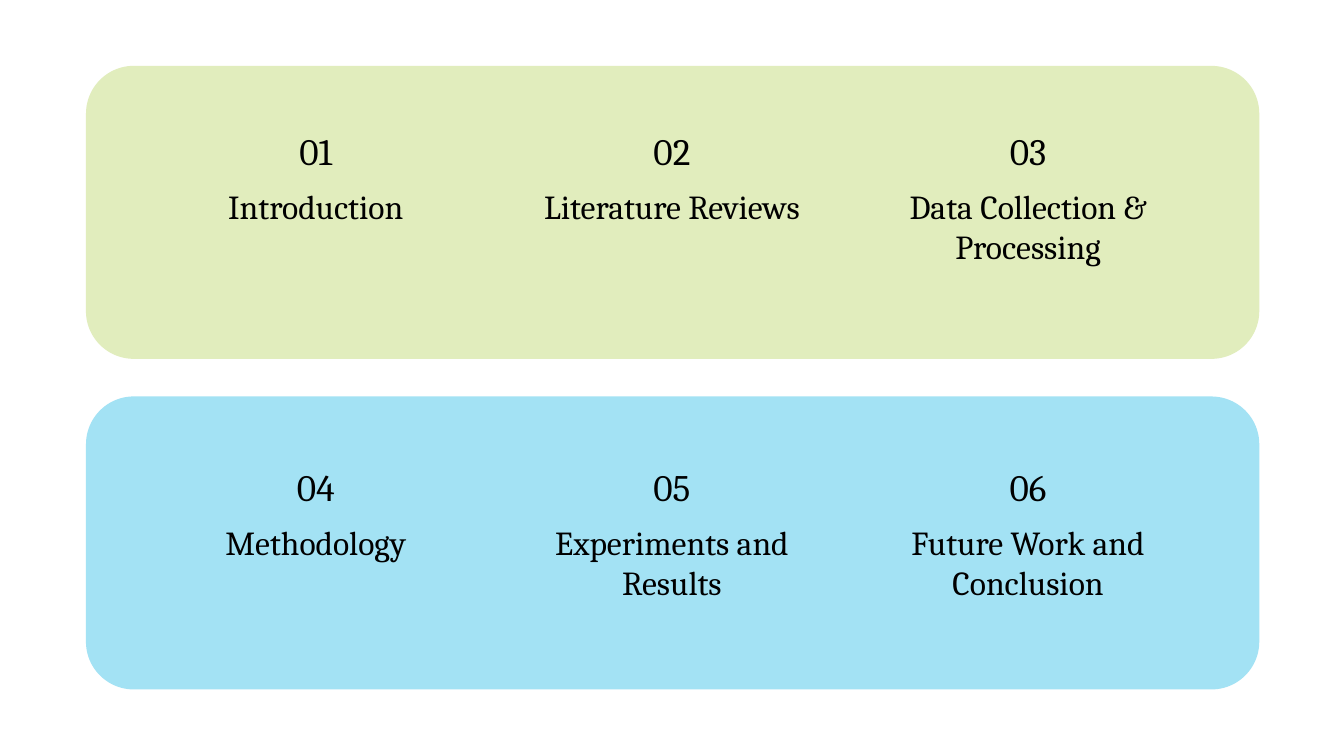
from pptx import Presentation
from pptx.dml.color import RGBColor
from pptx.enum.shapes import MSO_SHAPE as Shape
from pptx.enum.text import MSO_ANCHOR as Anchor, PP_ALIGN as Align
from pptx.util import Inches, Pt

WIDTH = 10
HEIGHT = WIDTH * 9 / 16
BAND_LEFT, BAND_WIDTH, BAND_HEIGHT = 0.64, 8.73, 2.18
COLUMN_LEFT, COLUMN_STEP, COLUMN_WIDTH = 1.07, 2.65, 2.56
NUMBER_HEIGHT, HEADING_HEIGHT, HEADING_DROP = 0.56, 0.69, 0.45

BANDS = [
    (0.49, 0.83, "E1EDBD",
     ["Introduction", "Literature Reviews", "Data Collection & Processing"]),
    (2.95, 3.33, "A3E2F4",
     ["Methodology", "Experiments and Results", "Future Work and Conclusion"]),
]


def color(hex_code):
    """Turn a hex string into a colour."""
    return RGBColor.from_string(hex_code)


def add_band(slide, top, fill):
    """Add a rounded panel behind one row of sections."""
    band = slide.shapes.add_shape(
        Shape.ROUNDED_RECTANGLE, Inches(BAND_LEFT), Inches(top),
        Inches(BAND_WIDTH), Inches(BAND_HEIGHT))
    band.adjustments[0] = 0.163
    band.shadow.inherit = False
    band.fill.solid()
    band.fill.fore_color.rgb = color(fill)
    band.line.fill.background()


def add_label(slide, column, top, height, text, size, anchor):
    """Add centred text in one column of the grid."""
    left = COLUMN_LEFT + column * COLUMN_STEP
    label = slide.shapes.add_textbox(
        Inches(left), Inches(top), Inches(COLUMN_WIDTH), Inches(height))
    frame = label.text_frame
    frame.word_wrap = True
    frame.vertical_anchor = anchor
    frame.margin_left = frame.margin_right = Inches(0.1)
    frame.margin_top = frame.margin_bottom = Inches(0.1)
    frame.text = text
    paragraph = frame.paragraphs[0]
    paragraph.alignment = Align.CENTER
    font = paragraph.runs[0].font
    font.name = "Cambria"
    font.size = Pt(size)
    font.color.rgb = color("000000")


def add_section(slide, column, top, number, heading):
    """Add a section number with its heading below."""
    add_label(slide, column, top, NUMBER_HEIGHT, f"{number:02d}", 20, Anchor.BOTTOM)
    add_label(slide, column, top + HEADING_DROP, HEADING_HEIGHT, heading, 18, Anchor.TOP)


def main():
    """Build the table of contents slide."""
    deck = Presentation()
    deck.slide_width, deck.slide_height = Inches(WIDTH), Inches(HEIGHT)
    slide = deck.slides.add_slide(deck.slide_layouts.get_by_name("Blank"))
    for row, (band_top, section_top, fill, headings) in enumerate(BANDS):
        add_band(slide, band_top, fill)
        for column, heading in enumerate(headings):
            number = row * len(headings) + column + 1
            add_section(slide, column, section_top, number, heading)
    deck.save("out.pptx")


if __name__ == "__main__":
    main()
